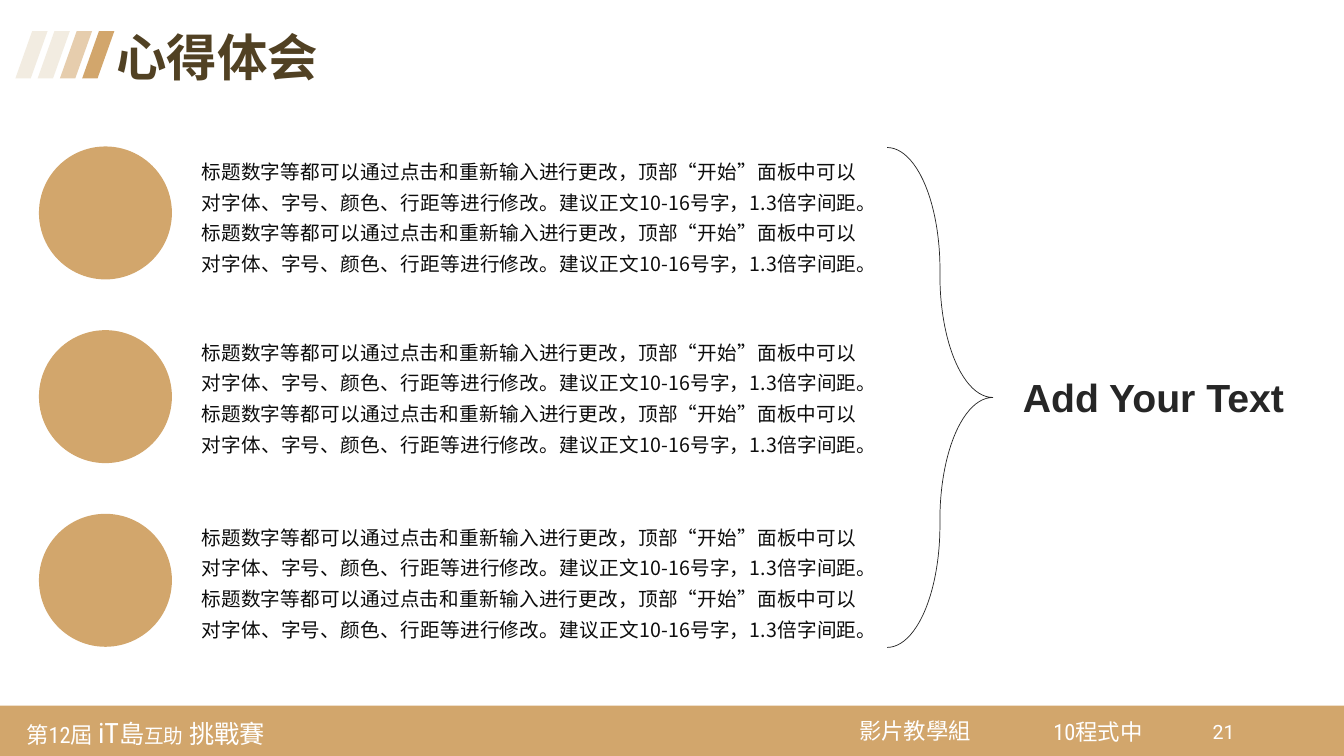
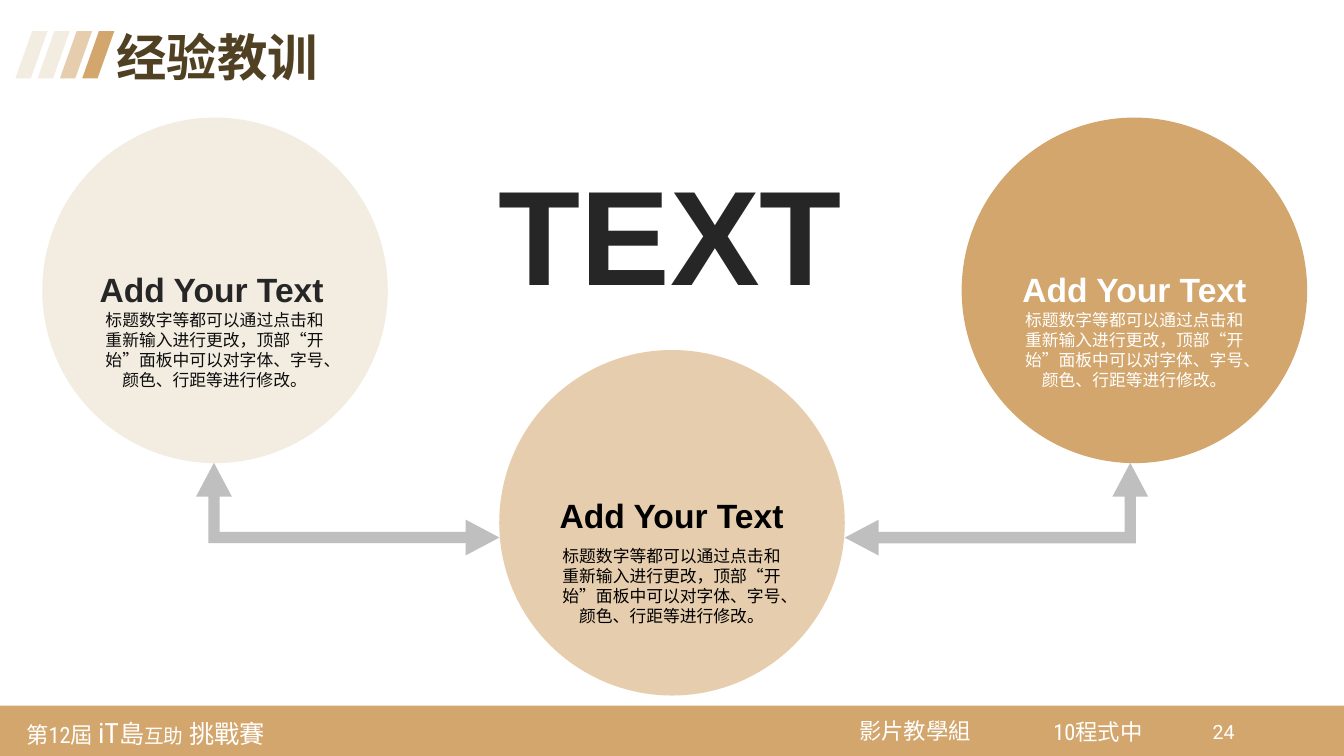
"""Builds two slides that share a striped title and a footer band."""
from lxml.etree import SubElement
from pptx import Presentation
from pptx.dml.color import RGBColor
from pptx.enum.shapes import MSO_SHAPE as SHAPE
from pptx.enum.text import MSO_ANCHOR as ANCHOR, PP_ALIGN as ALIGN
from pptx.oxml.ns import qn
from pptx.util import Pt

GOLD, SAND, CREAM = "D2A66C", "E6CDAD", "F2ECE1"
BROWN, DARK, INK, GREY = "514123", "262626", "0D0D0D", "BFBFBF"
WHITE, BLACK = "FFFFFF", "000000"
LATIN, CHINESE = "Arial", "Noto Sans CJK SC"
FOOTER_FONT, NUMBER_FONT = "Roboto Condensed", "Roboto"
WIDTH, HEIGHT = 960, 540

STRIPES = [CREAM, CREAM, SAND, GOLD]
FOOTERS = [
    ((13, 505.4, 203.8, 35.3),
     [("第12屆 ", 16), ("iT", 20), ("島", 18), ("互助", 14), (" 挑戰賽", 18)]),
    ((608, 506.4, 95.8, 31), [("影片教學組", 16)]),
    ((746.6, 506.9, 95.8, 31), [("10程式中", 16)]),
]
SENTENCE = "标题数字等都可以通过点击和重新输入进行更改，顶部“开始”面板中可以对字体、字号、颜色、行距等进行修改。"
ADVICE = (SENTENCE + "建议正文10-16号字，1.3倍字间距。") * 2
HEADING = "Add Your Text"
ADVICE_TOPS = [105.8, 234.9, 367]
BUBBLES = [
    dict(left=30.2, top=84, fill=CREAM, heading_color=DARK, text_color=INK,
         heading_at=(31, 104.6), text_at=(35.3, 133.4)),
    dict(left=686.9, top=84, fill=GOLD, heading_color=WHITE, text_color=WHITE,
         heading_at=(33.4, 104.6), text_at=(35.5, 133.4)),
    dict(left=356.6, top=250, fill=SAND, heading_color=BLACK, text_color=BLACK,
         heading_at=(33.1, 99.9), text_at=(35.3, 135.9)),
]


def color(value):
    """Turn a hex string into a colour."""
    return RGBColor.from_string(value)


def add_shape(slide, kind, box, fill=None, line=None, adjustments=(), rotation=0):
    """Add a flat preset shape."""
    shape = slide.shapes.add_shape(kind, *map(Pt, box))
    shape.shadow.inherit = False
    shape.rotation = rotation
    for index, value in enumerate(adjustments):
        shape.adjustments[index] = value
    if fill:
        shape.fill.solid()
        shape.fill.fore_color.rgb = color(fill)
    else:
        shape.fill.background()
    if line:
        shape.line.color.rgb = color(line)
        shape.line.width = Pt(0.5)
    else:
        shape.line.fill.background()


def style(paragraph, size, font_name, font_color, bold=False, align=ALIGN.LEFT, spacing=None):
    """Format a whole paragraph, with one font for Chinese characters."""
    paragraph.alignment = align
    if spacing:
        paragraph.line_spacing = spacing
    font = paragraph.font
    font.size, font.name, font.bold = Pt(size), font_name, bold
    font.color.rgb = color(font_color)
    defaults = paragraph._p.pPr.find(qn("a:defRPr"))
    SubElement(defaults, qn("a:ea")).set("typeface", CHINESE)


def add_text(slide, box, text, size, font_name, font_color, wrap=True, **options):
    """Add a text box with one paragraph and return its frame."""
    frame = slide.shapes.add_textbox(*map(Pt, box)).text_frame
    frame.word_wrap = wrap
    paragraph = frame.paragraphs[0]
    paragraph.text = text
    style(paragraph, size, font_name, font_color, **options)
    return frame


def add_slide(presentation, title, number):
    """Add a slide with the shared band, footer, stripes and title."""
    slide = presentation.slides.add_slide(presentation.slide_layouts[5])
    add_shape(slide, SHAPE.RECTANGLE, (0, 504, WIDTH, 36), GOLD)
    for box, parts in FOOTERS:
        frame = add_text(slide, box, "", 16, FOOTER_FONT, WHITE)
        frame.vertical_anchor = ANCHOR.MIDDLE
        frame.margin_left = frame.margin_right = Pt(5.8)
        frame.margin_top = frame.margin_bottom = Pt(5.8)
        for text, size in parts:
            run = frame.paragraphs[0].add_run()
            run.text = text
            run.font.size = Pt(size)
    add_text(slide, (859, 510.5, 30.2, 29.5), number, 14, NUMBER_FONT, WHITE)
    for index, fill in enumerate(STRIPES):
        add_shape(slide, SHAPE.PARALLELOGRAM, (11 + 15.9 * index, 22.2, 23, 33.8),
                  fill, adjustments=[0.522])
    holder = slide.shapes.title
    holder.left, holder.top, holder.width, holder.height = map(Pt, (76, 20, 211.7, 46.8))
    frame = holder.text_frame
    frame.vertical_anchor = ANCHOR.TOP
    frame.text = title
    style(frame.paragraphs[0], 36, LATIN, BROWN, bold=True, spacing=0.9)
    return slide


def build_insights(presentation):
    """Three remarks gathered by a brace."""
    slide = add_slide(presentation, "心得体会", "21")
    for index, top in enumerate(ADVICE_TOPS):
        add_shape(slide, SHAPE.OVAL, (27.8, 104.6 + 131.2 * index, 95, 95), GOLD)
        add_text(slide, (136.8, top, 482.4, 95.8), ADVICE, 14, CHINESE, INK,
                 align=ALIGN.JUSTIFY, spacing=1.3)
    add_shape(slide, SHAPE.RIGHT_BRACE, (633.6, 105.4, 75.6, 357.1), line=DARK,
              adjustments=[1.153, 0.5])
    add_text(slide, (723.6, 263, 203, 41), HEADING, 28, LATIN, DARK, wrap=False, bold=True)


def build_lessons(presentation):
    """Three bubbles joined by bent arrows."""
    slide = add_slide(presentation, "经验教训", "24")
    bend = [0.123, 0.193, 0.365]
    add_shape(slide, SHAPE.LEFT_UP_ARROW, (215.3, 255.3, 66.2, 216.7), GREY,
              adjustments=bend, rotation=90)
    add_shape(slide, SHAPE.LEFT_UP_ARROW, (603.4, 330.6, 216.7, 66.2), GREY, adjustments=bend)
    add_text(slide, (349.2, 104.4, 262, 123.8), "TEXT", 96, LATIN, DARK, wrap=False, bold=True)
    for bubble in BUBBLES:
        left, top = bubble["left"], bubble["top"]
        add_shape(slide, SHAPE.OVAL, (left, top, 246.8, 246.8), bubble["fill"])
        across, down = bubble["text_at"]
        add_text(slide, (left + across, top + down, 175.7, 65.5), SENTENCE, 12, CHINESE,
                 bubble["text_color"], align=ALIGN.CENTER)
        across, down = bubble["heading_at"]
        add_text(slide, (left + across, top + down, 180, 36), HEADING, 24, LATIN,
                 bubble["heading_color"], wrap=False, bold=True, align=ALIGN.CENTER)


def main():
    """Build and save the presentation."""
    presentation = Presentation()
    presentation.slide_width, presentation.slide_height = Pt(WIDTH), Pt(HEIGHT)
    build_insights(presentation)
    build_lessons(presentation)
    presentation.save("out.pptx")


if __name__ == "__main__":
    main()
